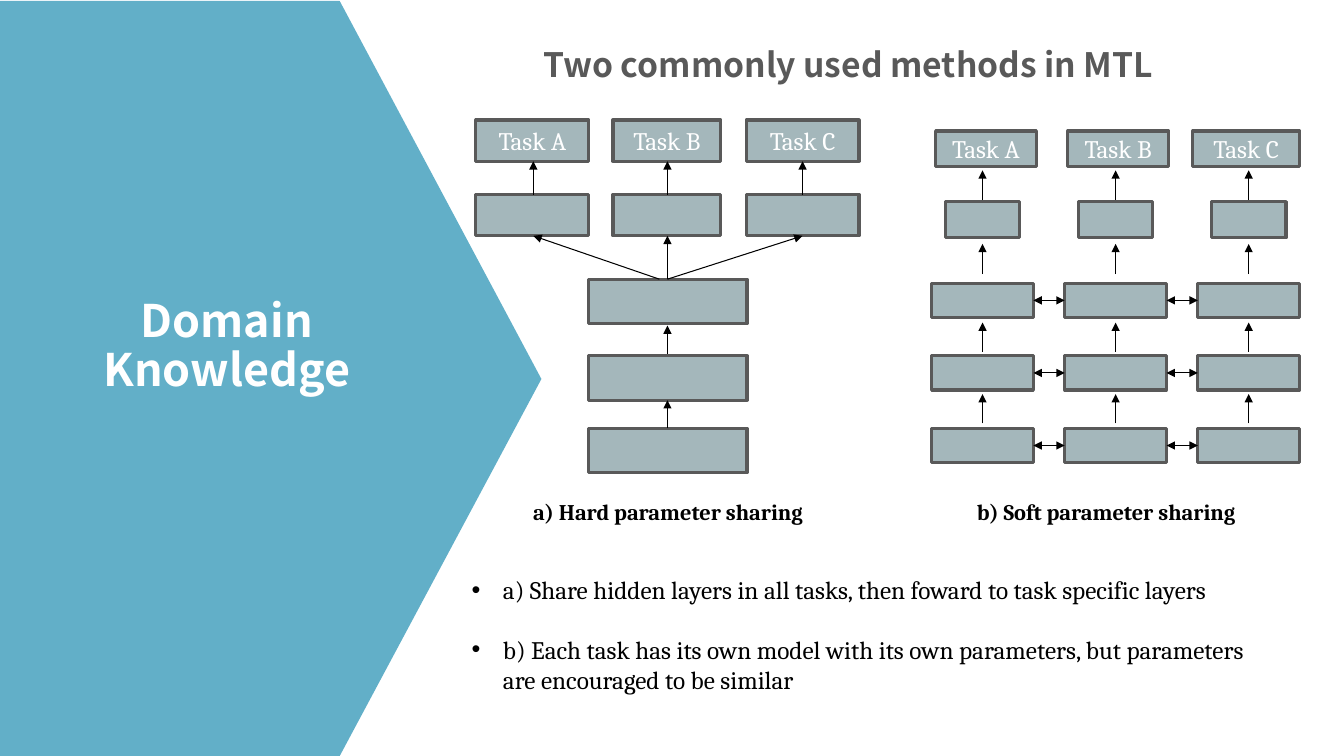
import pptx
import pptx.util
import pptx.dml.color
import pptx.enum.shapes
import pptx.enum.text
import pptx.oxml.ns
import lxml.etree

Inches = pptx.util.Inches
Align = pptx.enum.text.PP_ALIGN
Anchor = pptx.enum.text.MSO_ANCHOR
HEADING = dict(name="Noto Sans CJK SC", bold=True)
BODY = dict(name="Cambria", color="000000")


def rgb(value):
    """Turn a hex string into a colour."""
    return pptx.dml.color.RGBColor.from_string(value)


def add_xml(parent, tag, **attributes):
    """Append a DrawingML element to a parent element."""
    return lxml.etree.SubElement(parent, pptx.oxml.ns.qn(tag), attributes)


class SlideBuilder:
    """Holds the style and the current slide."""

    box_fill = "A4B7BB"
    box_line = "595959"
    arrow_color = "000000"

    def __init__(self, presentation):
        """Add a title-only slide."""
        self.slide = presentation.slides.add_slide(presentation.slide_layouts[5])
        self.shapes = self.slide.shapes

    def fill_text(self, shape, texts, font, anchor=Anchor.TOP, **paragraph_format):
        """Fill a shape with formatted paragraphs."""
        frame = shape.text_frame
        frame.word_wrap = True
        frame.auto_size = pptx.enum.text.MSO_AUTO_SIZE.NONE
        frame.vertical_anchor = anchor
        for index, text in enumerate(texts):
            paragraph = frame.paragraphs[0] if index == 0 else frame.add_paragraph()
            for name, value in paragraph_format.items():
                setattr(paragraph, name, value)
            run = paragraph.add_run()
            run.text = text
            for name, value in font.items():
                if name == "color":
                    run.font.color.rgb = rgb(value)
                else:
                    setattr(run.font, name, value)
        return frame

    def title(self, area, text, font):
        """Place and format the title placeholder."""
        shape = self.shapes.title
        for name, value in zip(("left", "top", "width", "height"), area):
            setattr(shape, name, Inches(value))
        self.fill_text(shape, [text], font, Anchor.MIDDLE, alignment=Align.LEFT)

    def text(self, area, texts, font, **paragraph_format):
        """Add a text box."""
        shape = self.shapes.add_textbox(*map(Inches, area))
        return self.fill_text(shape, texts, font, **paragraph_format)

    def bullets(self, area, texts, font, gap):
        """Add a bulleted text box with a gap between the items."""
        frame = self.text(area, texts, font)
        for index, paragraph in enumerate(frame.paragraphs):
            if index:
                paragraph.space_before = gap
            properties = paragraph._p.get_or_add_pPr()
            properties.set("marL", str(Inches(0.31)))
            properties.set("indent", str(Inches(-0.31)))
            add_xml(properties, "a:buFont", typeface="Arial")
            add_xml(properties, "a:buChar", char="\u2022")

    def polygon(self, points, fill):
        """Add a filled outline without a border."""
        corners = [(Inches(x), Inches(y)) for x, y in points]
        builder = self.shapes.build_freeform(*corners[0])
        builder.add_line_segments(corners[1:], close=True)
        shape = builder.convert_to_shape()
        shape.shadow.inherit = False
        shape.fill.solid()
        shape.fill.fore_color.rgb = rgb(fill)
        shape.line.fill.background()

    def box(self, left, top, width, height, label=None):
        """Add a network layer, with a label if it is a task."""
        rectangle = pptx.enum.shapes.MSO_SHAPE.RECTANGLE
        shape = self.shapes.add_shape(rectangle, *map(Inches, (left, top, width, height)))
        shape.shadow.inherit = False
        shape.fill.solid()
        shape.fill.fore_color.rgb = rgb(self.box_fill)
        shape.line.color.rgb = rgb(self.box_line)
        shape.line.width = pptx.util.Pt(2.25)
        if label:
            font = dict(BODY, size=pptx.util.Pt(18), color="FFFFFF")
            self.fill_text(shape, [label], font, Anchor.MIDDLE, alignment=Align.CENTER)

    def arrow(self, start, end, both=False):
        """Add a thin arrow, pointing both ways if asked."""
        straight = pptx.enum.shapes.MSO_CONNECTOR.STRAIGHT
        connector = self.shapes.add_connector(straight, *map(Inches, (*start, *end)))
        connector.line.color.rgb = rgb(self.arrow_color)
        connector.line.width = pptx.util.Pt(0.75)
        line = connector.line._get_or_add_ln()
        if both:
            add_xml(line, "a:headEnd", type="triangle")
        add_xml(line, "a:tailEnd", type="triangle")
        add_xml(connector._element.spPr, "a:effectLst")


def draw_hard_sharing(builder):
    """Draw shared layers that fan out to three tasks."""
    middle = 6.62
    for top in (4.25, 3.53, 2.77):
        builder.box(5.84, top, 1.57, 0.44)
    for start, end in ((4.25, 3.97), (3.51, 3.23)):
        builder.arrow((middle, start), (middle, end))
    columns = (("Task A", 4.72, 1.12, 5.29, 6.54),
               ("Task B", 6.08, 1.07, 6.62, middle),
               ("Task C", 7.4, 1.12, 7.96, middle))
    for label, left, width, center, source in columns:
        builder.box(left, 1.93, width, 0.41)
        builder.box(left, 1.19, width, 0.41, label)
        builder.arrow((center, 1.93), (center, 1.6))
        builder.arrow((source, 2.77), (center, 2.34))


def draw_soft_sharing(builder):
    """Draw three task networks with linked layers."""
    width, height, pitch = 1.01, 0.34, 1.32
    layer_tops = [2.81 + 0.72 * row for row in range(3)]
    tasks = (("Task A", 9.28, 1), ("Task B", 10.59, 1), ("Task C", 11.83, 1.06))
    for column, (label, task_left, task_width) in enumerate(tasks):
        left = 9.24 + pitch * column
        center = left + width / 2
        builder.box(task_left, 1.3, task_width, 0.35, label)
        builder.box(center - 0.37, 2, 0.74, 0.36)
        for start, end in ((1.98, 1.69), (2.72, 2.42), (3.49, 3.2), (4.2, 3.91)):
            builder.arrow((center, start), (center, end))
        for top in layer_tops:
            builder.box(left, top, width, height)
    for column in range(2):
        link_left = 9.24 + pitch * column + width
        for top in layer_tops:
            link_y = top + height / 2
            builder.arrow((link_left, link_y), (link_left + 0.31, link_y), both=True)


presentation = pptx.Presentation()
presentation.slide_width = Inches(13.33)
presentation.slide_height = Inches(7.5)

builder = SlideBuilder(presentation)
builder.title((5.29, 0.39, 6.61, 0.5), "Two commonly used methods in MTL",
              dict(HEADING, size=pptx.util.Pt(24), color="595959"))
builder.polygon([(0, 0.01), (3.37, 0.01), (5.37, 3.76), (3.37, 7.5), (0, 7.5)], "62AFC8")
builder.text((0.1, 2.92, 4.3, 1.43), ["Domain Knowledge"],
             dict(HEADING, size=pptx.util.Pt(32), color="FFFFFF"),
             alignment=Align.CENTER, line_spacing=0.9)

draw_hard_sharing(builder)
draw_soft_sharing(builder)

captions = ((5.19, "a) Hard parameter sharing"), (9.59, "b) Soft parameter sharing"))
for left, caption in captions:
    builder.text((left, 4.89, 2.95, 0.37), [caption],
                 dict(BODY, size=pptx.util.Pt(16), bold=True))

builder.bullets(
    (4.58, 5.65, 7.89, 1.85),
    ["a) Share hidden layers in all tasks, then foward to task specific layers",
     "b) Each task has its own model with its own parameters, but parameters "
     "are encouraged to be similar"],
    dict(BODY, size=pptx.util.Pt(18)), gap=pptx.util.Pt(21))

presentation.save("out.pptx")
